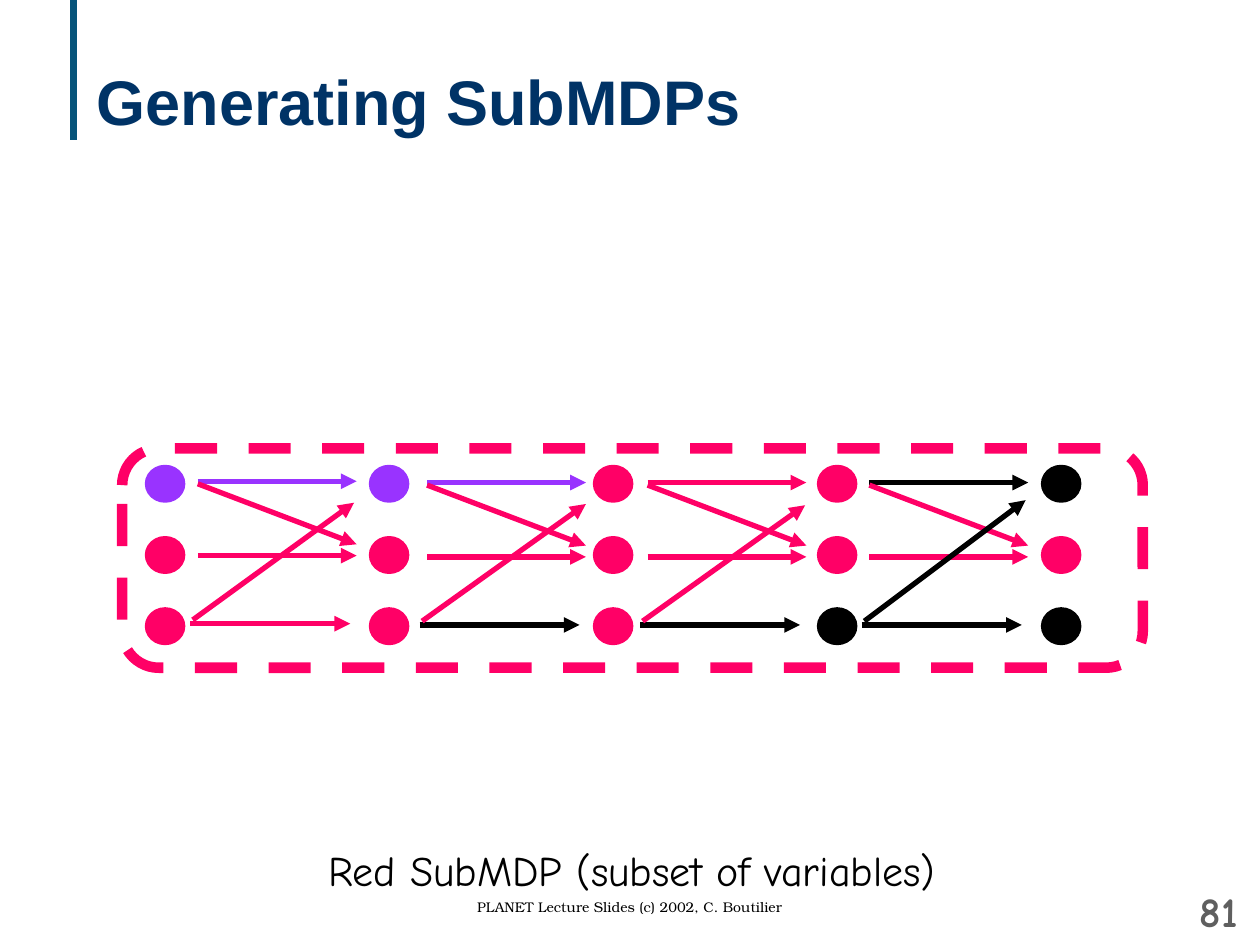
from lxml import etree
from pptx import Presentation
from pptx.dml.color import RGBColor
from pptx.enum import dml, shapes, text
from pptx.oxml.ns import qn
from pptx.util import Inches, Pt

COLORS = {"red": "FF0066", "violet": "9933FF", "black": "000000",
          "navy": "003366", "teal": "07547A", "gray": "5F5F5F"}

deck = Presentation()
deck.slide_width, deck.slide_height = Inches(10), Inches(7.5)
page = deck.slides.add_slide(deck.slide_layouts[6])


def add_line(x1, y1, x2, y2, color, width, arrow=True):
    line = page.shapes.add_connector(shapes.MSO_CONNECTOR.STRAIGHT, Inches(x1),
                                     Inches(y1), Inches(x2), Inches(y2))
    line.line.color.rgb = RGBColor.from_string(COLORS[color])
    line.line.width = Pt(width)
    if arrow:
        etree.SubElement(line.line._get_or_add_ln(), qn("a:tailEnd"), type="triangle")
    etree.SubElement(line._element.spPr, qn("a:effectLst"))


def add_text(words, x, y, w, h, size, font, color, align, bold=False,
             anchor=text.MSO_ANCHOR.TOP, wrap=True):
    box = page.shapes.add_textbox(Inches(x), Inches(y), Inches(w), Inches(h))
    frame = box.text_frame
    frame.word_wrap = wrap
    frame.vertical_anchor = anchor
    para = frame.paragraphs[0]
    para.text = words
    para.alignment = align
    span = para.runs[0]
    span.font.size, span.font.name, span.font.bold = Pt(size), font, bold
    span.font.color.rgb = RGBColor.from_string(COLORS[color])


# Title with its vertical rule
add_line(0.58, 0, 0.58, 1.11, "teal", 4, arrow=False)
add_text("Generating SubMDPs", 0.67, 0.17, 8.92, 1.25, 36, "Arial", "navy",
         text.PP_ALIGN.LEFT, bold=True, anchor=text.MSO_ANCHOR.MIDDLE)

# State variables: one column per time step, colours from top to bottom
steps = [("violet", "red", "red"), ("violet", "red", "red"), ("red", "red", "red"),
         ("red", "red", "black"), ("black", "red", "black")]
for column, colors in enumerate(steps):
    for row, color in enumerate(colors):
        node = page.shapes.add_shape(
            shapes.MSO_SHAPE.OVAL, Inches(1.17 + 1.778 * column),
            Inches(3.71 + 0.565 * row), Inches(0.28), Inches(0.26))
        node.shadow.inherit = False
        node.fill.solid()
        node.fill.fore_color.rgb = RGBColor.from_string(COLORS[color])
        node.line.color.rgb = RGBColor.from_string(COLORS[color])
        node.line.width = Pt(3)

# Dependencies: left, top, rise end (x, y), colours of top, bottom and rising arrows
transitions = [(1.57, 3.82, 2.81, 3.99, "violet", "red", "red"),
               (3.39, 3.83, 4.65, 4.00, "violet", "black", "red"),
               (5.14, 3.83, 6.39, 4.01, "red", "black", "red"),
               (6.90, 3.83, 8.14, 3.97, "black", "black", "black")]
for left, top, rise_x, rise_y, top_color, bottom_color, rise_color in transitions:
    right = left + 1.26
    add_line(left, top, right, top, top_color, 3)
    add_line(left, top + 0.59, right, top + 0.59, "red", 3)
    add_line(left - 0.06, top + 1.13, right - 0.05, top + 1.13, bottom_color, 3)
    add_line(left, top + 0.02, right, top + 0.5, "red", 3)
    add_line(left - 0.04, top + 1.1, rise_x, rise_y, rise_color, 3)

# Dashed frame around the sub-MDP
frame_box = page.shapes.add_shape(shapes.MSO_SHAPE.ROUNDED_RECTANGLE, Inches(0.97),
                                  Inches(3.56), Inches(8.1), Inches(1.74))
frame_box.shadow.inherit = False
frame_box.adjustments[0] = 0.167
frame_box.fill.background()
frame_box.line.color.rgb = RGBColor.from_string(COLORS["red"])
frame_box.line.width = Pt(6)
frame_box.line.dash_style = dml.MSO_LINE.DASH

# Caption, footer and page number
add_text("Red SubMDP (subset of variables)", 2.5, 6.65, 5.03, 0.5, 24, "Comic Neue",
         "black", text.PP_ALIGN.CENTER, wrap=False)
add_text("PLANET Lecture Slides (c) 2002, C. Boutilier", 2.75, 7.08, 4.5, 0.25, 8,
         "TeX Gyre Bonum", "black", text.PP_ALIGN.CENTER)
add_text("81", 9.2, 7.03, 0.72, 0.4, 24, "Comic Neue", "gray", text.PP_ALIGN.RIGHT,
         bold=True, anchor=text.MSO_ANCHOR.MIDDLE)

deck.save("out.pptx")
